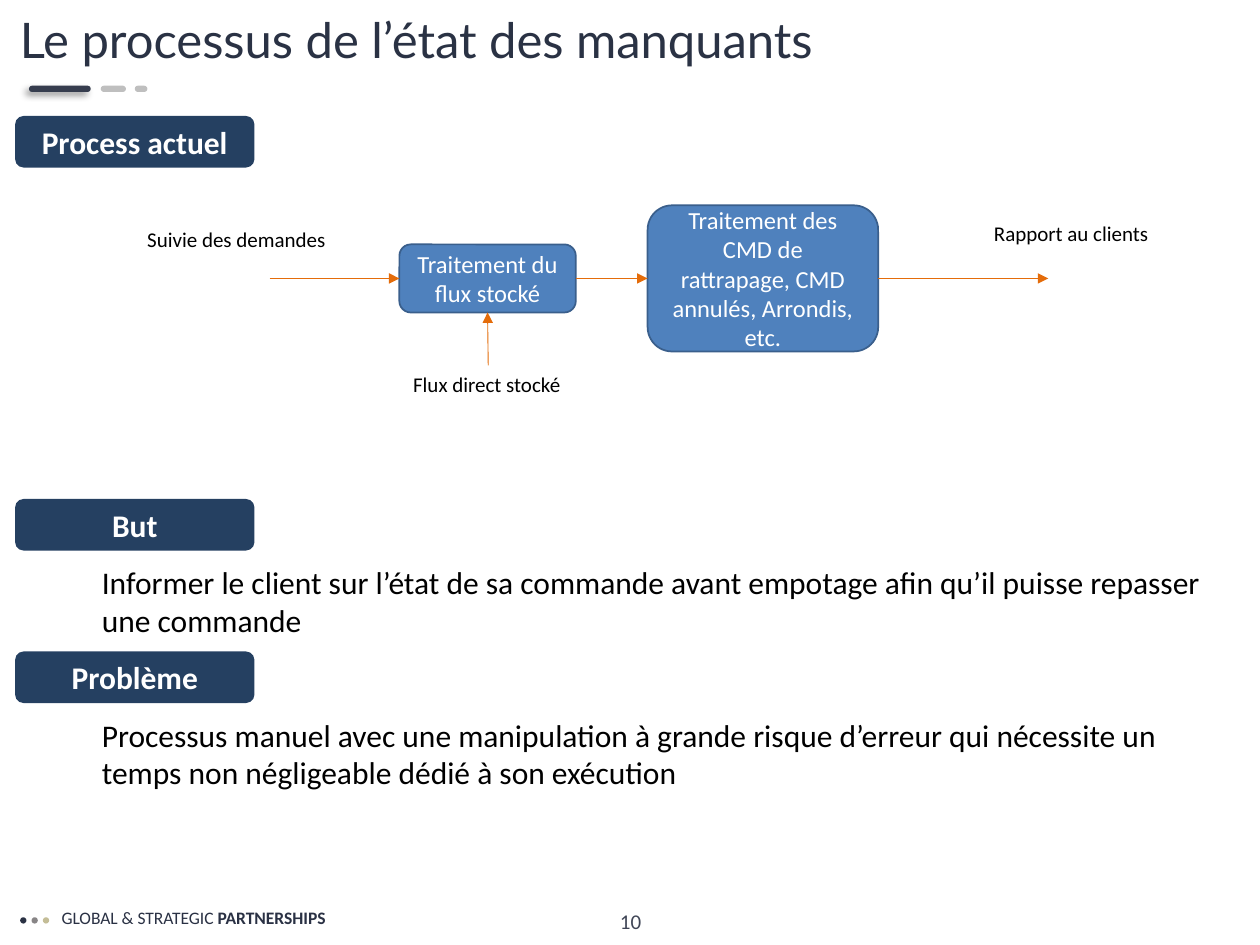
from lxml.etree import SubElement
from pptx import Presentation
from pptx.dml.color import RGBColor
from pptx.enum.shapes import MSO_CONNECTOR as CONN, MSO_SHAPE as SHAPE
from pptx.enum.text import MSO_ANCHOR as ANCHOR, MSO_AUTO_SIZE as AUTO, PP_ALIGN as ALIGN
from pptx.oxml.ns import qn
from pptx.util import Inches, Pt

COLORS = {
    "ink": "2A3144", "title": "2A3244", "number": "404657", "text": "000000",
    "white": "FFFFFF", "dash": "363D4E", "silver": "BFBFBF", "gray": "888586",
    "sand": "C4BD97", "badge": "254061", "step": "4F81BD", "edge": "3A5F8C",
    "arrow": "E46C0A",
}
TOP, LEFT, BOTTOM, RIGHT = range(4)


def rgb(name):
    return RGBColor.from_string(COLORS[name])


def write(tf, *texts, size=12, color="text", font="Calibri", bold=(), align=None, spacing=None):
    p = tf.paragraphs[0]
    p.alignment, p.line_spacing = align, spacing
    for text in texts:
        r = p.add_run()
        r.text = text
        r.font.size, r.font.name = Pt(size), font
        r.font.bold = text in bold
        r.font.color.rgb = rgb(color)


class Deck:
    """Style and current slide, measured on a grid of 100 columns by 75 rows."""

    def __init__(self, cols=100, rows=75):
        self.prs = Presentation()
        self.prs.slide_width, self.prs.slide_height = Inches(10), Inches(7.5)
        self.col = self.prs.slide_width / cols
        self.row = self.prs.slide_height / rows
        self.s = self.prs.slides.add_slide(self.prs.slide_layouts[6])

    def place(self, x, y, w=0, h=0):
        return [round(v * unit) for v, unit in zip((x, y, w, h), (self.col, self.row) * 2)]

    def text(self, at, *texts, wrap=True, grow=True, anchor=ANCHOR.TOP, **style):
        sp = self.s.shapes.add_textbox(*self.place(*at))
        tf = sp.text_frame
        tf.word_wrap, tf.vertical_anchor = wrap, anchor
        tf.auto_size = AUTO.SHAPE_TO_FIT_TEXT if grow else AUTO.NONE
        write(tf, *texts, **style)
        return sp

    def shape(self, at, fill, kind=SHAPE.ROUNDED_RECTANGLE, parent=None, edge=None):
        sp = (parent or self.s).shapes.add_shape(kind, *self.place(*at))
        sp.shadow.inherit = False
        sp.fill.solid()
        sp.fill.fore_color.rgb = rgb(fill)
        if edge:
            sp.line.color.rgb, sp.line.width = rgb(edge), Pt(1)
        else:
            sp.line.fill.background()
        return sp

    def box(self, at, text, fill, **style):
        sp = self.shape(at, fill, edge=style.pop("edge", None))
        tf = sp.text_frame
        tf.word_wrap, tf.vertical_anchor = True, ANCHOR.MIDDLE
        write(tf, text, color="white", align=ALIGN.CENTER, **style)
        return sp

    def dashes(self, y, spans):
        group = self.s.shapes.add_group_shape()
        bars = []
        for x, w, fill in spans:
            bar = self.shape((x, y, w, 0.5), fill, parent=group)
            bar.adjustments[0] = 0.5
            bars.append(bar)
        effects = bars[0].element.spPr.find(qn("a:effectLst"))
        shadow = SubElement(effects, qn("a:outerShdw"), blurRad=str(Pt(4)), dist=str(Pt(3)),
                            dir=str(135 * 60000), algn="tr", rotWithShape="0")
        black = SubElement(shadow, qn("a:srgbClr"), val=COLORS["text"])
        SubElement(black, qn("a:alpha"), val="40000")

    def arrow(self, start, end, source=None, target=None):
        c = self.s.shapes.add_connector(CONN.STRAIGHT, *self.place(*start, *end))
        if source:
            c.begin_connect(*source)
        if target:
            c.end_connect(*target)
        c.line.color.rgb, c.line.width = rgb("arrow"), Pt(0.5)
        spPr = c.element.spPr
        SubElement(spPr.find(qn("a:ln")), qn("a:tailEnd"), type="triangle")
        SubElement(spPr, qn("a:effectLst"))


def main():
    d = Deck()
    d.text((3.9, 71.5, 23.5, 2.7), "GLOBAL & STRATEGIC ", "PARTNERSHIPS",
           size=10, color="ink", bold=("PARTNERSHIPS",))
    for i, fill in enumerate(("ink", "gray", "sand")):
        d.shape((1.6 + 0.9 * i, 72.8, 0.5, 0.5), fill, SHAPE.OVAL)
    d.text((38.8, 71.1, 22.5, 4), "10", grow=False, anchor=ANCHOR.MIDDLE,
           color="number", align=ALIGN.CENTER)
    d.dashes(6.8, [(2.3, 4.9, "dash"), (8, 2, "silver"), (10.7, 1, "silver")])
    d.text((0.6, 0.8, 105.6, 6), "Le processus de l’état des manquants", grow=False,
           size=28, font="Lato", color="title", spacing=0.9)

    sections = [
        (9.2, "Process actuel", None),
        (39.6, "But", "Informer le client sur l’état de sa commande avant empotage "
                      "afin qu’il puisse repasser une commande"),
        (51.7, "Problème", "Processus manuel avec une manipulation à grande risque d’erreur "
                           "qui nécessite un temps non négligeable dédié à son exécution"),
    ]
    for y, heading, body in sections:
        d.box((1.2, y, 19, 4.1), heading, "badge", size=18, bold=(heading,))
        if body:
            d.text((7.1, y + 4.6, 92.5, 7.1), body, size=18)

    d.text((10.7, 17.5, 16.3, 3), "Suivie des demandes", wrap=False)
    stock = d.box((31.7, 19.4, 14, 5.4), "Traitement du flux stocké", "step", size=14, edge="edge")
    direct = d.text((31.8, 29, 13.9, 3), "Flux direct stocké")
    orders = d.box((51.4, 16.3, 18.3, 11.6),
                   "Traitement des CMD de rattrapage, CMD annulés, Arrondis, etc.",
                   "step", size=14, edge="edge")
    d.text((77.9, 17, 14.4, 3), "Rapport au clients", wrap=False)

    axis = 22.1
    d.arrow((21.4, axis), (31.7, axis), target=(stock, LEFT))
    d.arrow((45.7, axis), (51.4, axis), (stock, RIGHT), (orders, LEFT))
    d.arrow((69.7, axis), (83.2, axis), (orders, RIGHT))
    d.arrow((38.7, 29), (38.7, 24.8), (direct, TOP), (stock, BOTTOM))
    d.prs.save("out.pptx")


if __name__ == "__main__":
    main()
